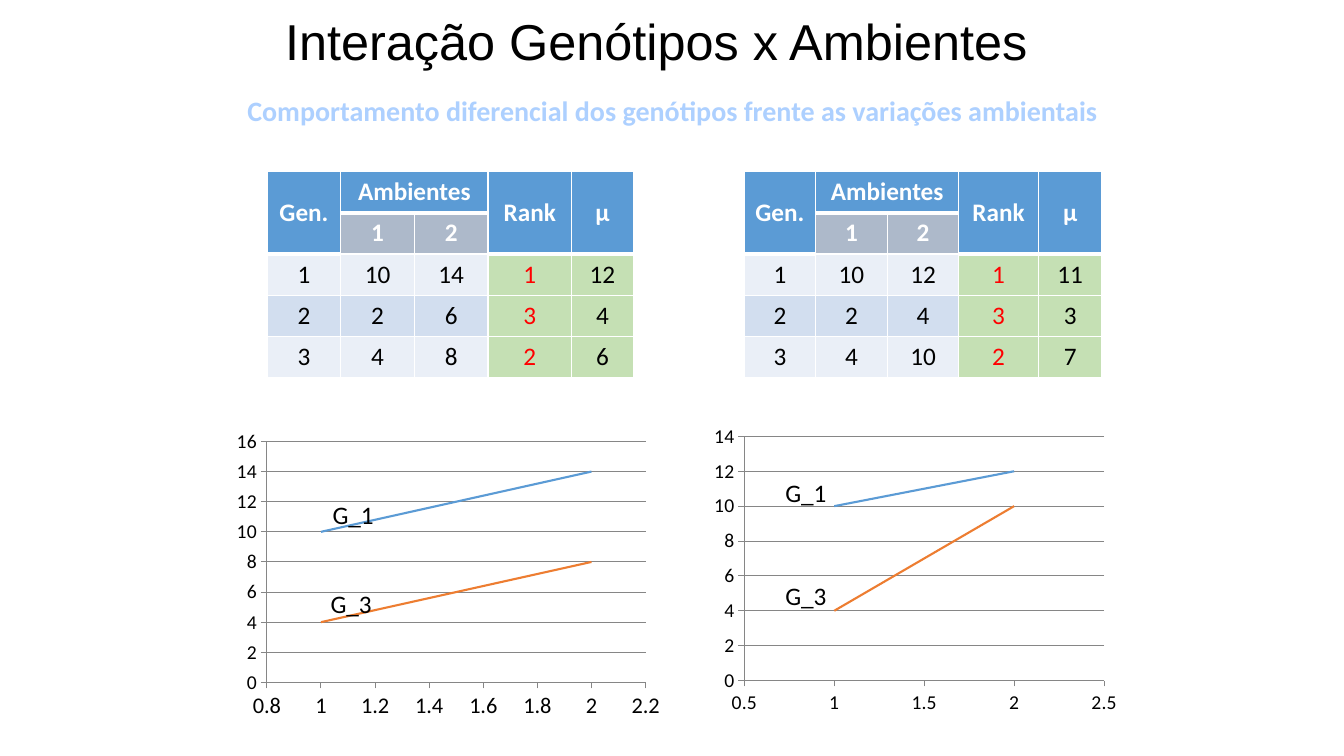
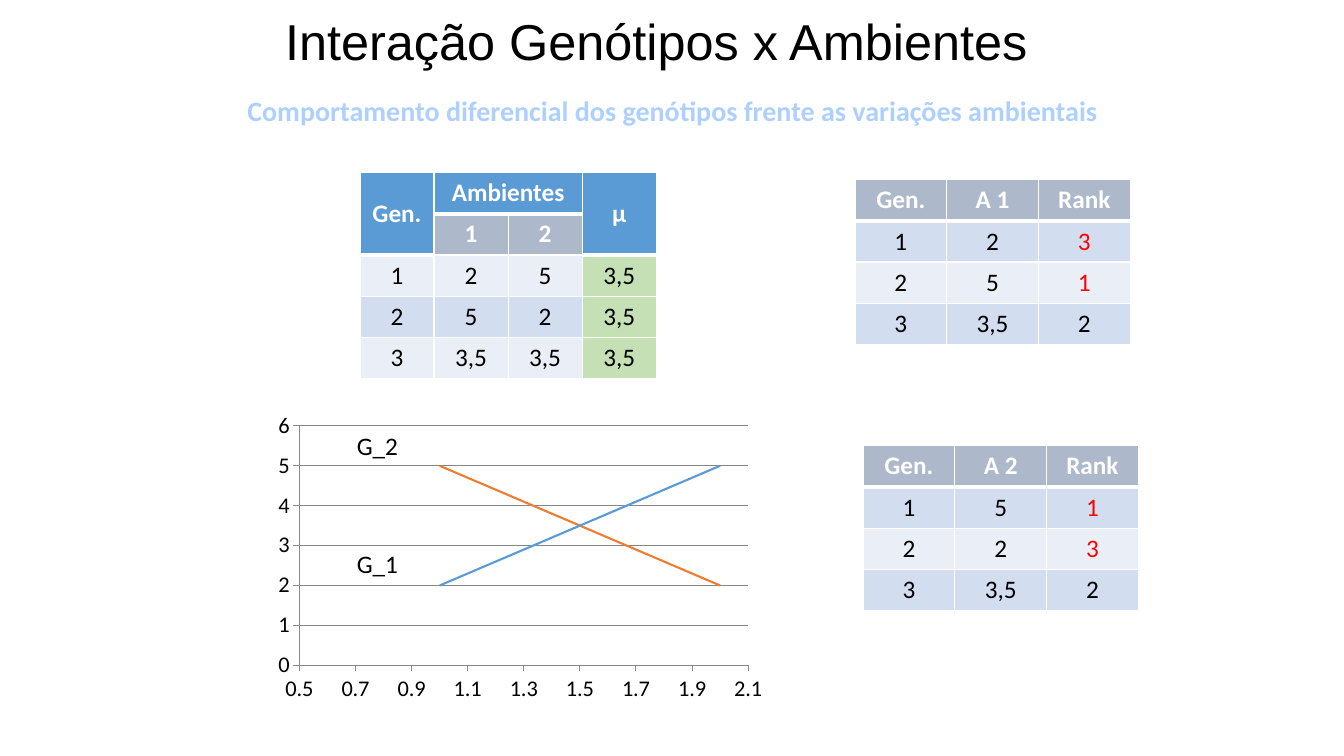
from dataclasses import dataclass

from lxml import etree
from pptx import Presentation
from pptx.chart.data import XyChartData
from pptx.dml.color import RGBColor
from pptx.enum.chart import XL_CHART_TYPE, XL_TICK_MARK
from pptx.enum.text import MSO_ANCHOR, MSO_AUTO_SIZE, PP_ALIGN
from pptx.oxml.ns import qn
from pptx.util import Inches, Pt

CENTER = PP_ALIGN.CENTER
LEFT = PP_ALIGN.LEFT
MIDDLE = MSO_ANCHOR.MIDDLE
NO_AUTOFIT = MSO_AUTO_SIZE.NONE
SCATTER = XL_CHART_TYPE.XY_SCATTER_LINES_NO_MARKERS
TICK_OUTSIDE = XL_TICK_MARK.OUTSIDE
TICK_NONE = XL_TICK_MARK.NONE

TITLE = "Interação Genótipos x Ambientes"
SUBTITLE = "Comportamento diferencial dos genótipos frente as variações ambientais"
TITLE_FONT, BODY_FONT = "Arial", "Calibri"
BLACK, WHITE, RED = "000000", "FFFFFF", "FF0000"
BLUE, ORANGE, SLATE, GREEN = "5B9BD5", "ED7D31", "ADB9CA", "C5E0B4"
LIGHT_BAND, DARK_BAND = "EAEFF7", "D2DEEF"
PALE_BLUE, AXIS_GRAY = "ADD0FF", "868686"
ROW_HEIGHT = 0.41


@dataclass(frozen=True)
class Grid:
    """A table; two_tier means that row 1 splits the Ambientes heading."""
    left: float
    top: float
    widths: tuple[float, ...]
    rows: tuple[tuple[str, ...], ...]
    two_tier: bool = True
    red_ranks: tuple[str, ...] = ("1", "2", "3")


@dataclass(frozen=True)
class Scale:
    low: float
    high: float
    step: float
    size: int


@dataclass(frozen=True)
class Label:
    left: float
    top: float
    text: str


@dataclass(frozen=True)
class Plot:
    left: float
    top: float
    width: float
    series: tuple[tuple[int, int], ...]
    environment: Scale
    response: Scale
    labels: tuple[Label, ...]


@dataclass(frozen=True)
class Content:
    grids: tuple[Grid, ...]
    plots: tuple[Plot, ...]


def color(value: str) -> RGBColor:
    return RGBColor.from_string(value)


def style_font(font, size: int, tint: str = BLACK, bold: bool = False, name: str = BODY_FONT) -> None:
    font.name = name
    font.size = Pt(size)
    font.bold = bold
    font.color.rgb = color(tint)


def place(shape, left: float, top: float, width: float, height: float) -> None:
    shape.left, shape.top = Inches(left), Inches(top)
    shape.width, shape.height = Inches(width), Inches(height)


def write(frame, text: str, size: int, align=CENTER, **style) -> None:
    para = frame.paragraphs[0]
    para.alignment = align
    span = para.add_run()
    span.text = text
    style_font(span.font, size, **style)


def add_headings(page) -> None:
    title, body = page.placeholders
    place(title, 2.69, 0.05, 7.64, 0.71)
    title.text_frame.word_wrap = False
    title.text_frame.auto_size = NO_AUTOFIT
    write(title.text_frame, TITLE, 36, name=TITLE_FONT)

    place(body, 2.17, 0.92, 9, 5.91)
    body.text_frame.auto_size = NO_AUTOFIT
    para = body.text_frame.paragraphs[0]
    para.line_spacing = 0.9
    para.space_before = Pt(0)
    properties = para._p.get_or_add_pPr()
    properties.set("marL", "0")
    properties.set("indent", "0")
    etree.SubElement(properties, qn("a:buNone"))
    write(body.text_frame, SUBTITLE, 20, tint=PALE_BLUE, bold=True)


def add_borders(cell, bottom: int) -> None:
    properties = cell._tc.get_or_add_tcPr()
    for side, points in (("L", 1), ("R", 1), ("T", 1), ("B", bottom)):
        line = etree.SubElement(properties, qn(f"a:ln{side}"), w=str(Pt(points)))
        fill = etree.SubElement(line, qn("a:solidFill"))
        etree.SubElement(fill, qn("a:srgbClr"), val=WHITE)


def cell_colors(grid: Grid, row: int, column: int) -> tuple[str, str]:
    """Return the fill and the text colour of a cell."""
    heading = grid.rows[0][column]
    if row == 0:
        return (BLUE if grid.two_tier else SLATE), WHITE
    if grid.two_tier and row == 1:
        return SLATE, WHITE
    is_red = heading == "Rank" and grid.rows[row][column] in grid.red_ranks
    band = DARK_BAND if row % 2 else LIGHT_BAND
    if grid.two_tier:
        band = GREEN if heading in ("Rank", "µ") else LIGHT_BAND if row % 2 == 0 else DARK_BAND
    return band, RED if is_red else BLACK


def add_grid(page, grid: Grid) -> None:
    row_count, column_count = len(grid.rows), len(grid.widths)
    table = page.shapes.add_table(
        row_count, column_count, Inches(grid.left), Inches(grid.top),
        Inches(sum(grid.widths)), Inches(ROW_HEIGHT * row_count)).table
    for column, width in zip(table.columns, grid.widths):
        column.width = Inches(width)
    for row in table.rows:
        row.height = Inches(ROW_HEIGHT)
    if grid.two_tier:
        table.cell(0, 1).merge(table.cell(0, 2))
        for column in range(column_count):
            if column not in (1, 2):
                table.cell(0, column).merge(table.cell(1, column))
    for row, texts in enumerate(grid.rows):
        for column, text in enumerate(texts):
            cell = table.cell(row, column)
            fill, tint = cell_colors(grid, row, column)
            closes_heading = row == 0 or (row == 1 and cell.is_spanned)
            add_borders(cell, 3 if closes_heading else 1)
            cell.fill.solid()
            cell.fill.fore_color.rgb = color(fill)
            cell.vertical_anchor = MIDDLE
            if text:
                write(cell.text_frame, text, 18, tint=tint, bold=tint == WHITE)


def style_axis(axis, scale: Scale, gridlines: bool) -> None:
    axis.minimum_scale, axis.maximum_scale = scale.low, scale.high
    axis.major_unit = scale.step
    axis.major_tick_mark, axis.minor_tick_mark = TICK_OUTSIDE, TICK_NONE
    axis.has_major_gridlines = gridlines
    lines = [axis.format.line]
    if gridlines:
        lines.append(axis.major_gridlines.format.line)
    for line in lines:
        line.color.rgb = color(AXIS_GRAY)
        line.width = Pt(0.75)
    style_font(axis.tick_labels.font, scale.size)


def add_plot(page, plot: Plot) -> None:
    data = XyChartData()
    for number, values in enumerate(plot.series, 1):
        series = data.add_series(f"Series {number}")
        for environment, value in enumerate(values, 1):
            series.add_data_point(environment, value)
    chart = page.shapes.add_chart(
        SCATTER, Inches(plot.left), Inches(plot.top),
        Inches(plot.width), Inches(3), data).chart
    chart.has_legend = chart.has_title = False
    style_font(chart.font, plot.response.size)
    chart.plots[0].vary_by_categories = False
    style_axis(chart.category_axis, plot.environment, gridlines=False)
    style_axis(chart.value_axis, plot.response, gridlines=True)
    for series, tint in zip(chart.plots[0].series, (BLUE, ORANGE)):
        series.smooth = False
        series.format.line.color.rgb = color(tint)
        series.format.line.width = Pt(1.5)
    for label in plot.labels:
        box = page.shapes.add_textbox(Inches(label.left), Inches(label.top), Inches(0.62), Inches(0.4))
        box.text_frame.word_wrap = False
        write(box.text_frame, label.text, 18, align=LEFT)


RANKED_HEAD = (("Gen.", "Ambientes", "", "Rank", "µ"), ("", "1", "2", "", ""))

PAGES = (
    Content(
        grids=(
            Grid(2.65, 1.7, (0.73, 0.73, 0.73, 0.83, 0.61), RANKED_HEAD + (
                ("1", "10", "14", "1", "12"),
                ("2", "2", "6", "3", "4"),
                ("3", "4", "8", "2", "6"))),
            Grid(7.38, 1.7, (0.71, 0.71, 0.71, 0.79, 0.63), RANKED_HEAD + (
                ("1", "10", "12", "1", "11"),
                ("2", "2", "4", "3", "3"),
                ("3", "4", "10", "2", "7"))),
        ),
        plots=(
            Plot(7, 4.15, 4.16, ((10, 12), (4, 10)),
                 Scale(0.5, 2.5, 0.5, 14), Scale(0, 14, 2, 14),
                 (Label(7.69, 4.69, "G_1"), Label(7.69, 5.71, "G_3"))),
            Plot(2.26, 4.2, 4.37, ((10, 14), (4, 8)),
                 Scale(0.8, 2.2, 0.2, 16), Scale(0, 16, 2, 14),
                 (Label(3.2, 4.9, "G_1"), Label(3.18, 5.79, "G_3"))),
        ),
    ),
    Content(
        grids=(
            Grid(3.57, 1.71, (0.735,) * 4, (
                ("Gen.", "Ambientes", "", "µ"),
                ("", "1", "2", ""),
                ("1", "2", "5", "3,5"),
                ("2", "5", "2", "3,5"),
                ("3", "3,5", "3,5", "3,5"))),
            Grid(8.48, 1.78, (0.91,) * 3, (
                ("Gen.", "A 1", "Rank"),
                ("1", "2", "3"),
                ("2", "5", "1"),
                ("3", "3,5", "2")), two_tier=False, red_ranks=("1", "3")),
            Grid(8.56, 4.42, (0.91,) * 3, (
                ("Gen.", "A 2", "Rank"),
                ("1", "5", "1"),
                ("2", "2", "3"),
                ("3", "3,5", "2")), two_tier=False, red_ranks=("1", "3")),
        ),
        plots=(
            Plot(2.66, 4.03, 5, ((2, 5), (5, 2)),
                 Scale(0.5, 2.1, 0.2, 16), Scale(0, 6, 1, 16),
                 (Label(3.44, 5.39, "G_1"), Label(3.44, 4.22, "G_2"))),
        ),
    ),
)


def main() -> None:
    deck = Presentation()
    deck.slide_width, deck.slide_height = Inches(13.33), Inches(7.5)
    for content in PAGES:
        page = deck.slides.add_slide(deck.slide_layouts[1])
        add_headings(page)
        for grid in content.grids:
            add_grid(page, grid)
        for plot in content.plots:
            add_plot(page, plot)
    deck.save("out.pptx")


if __name__ == "__main__":
    main()
